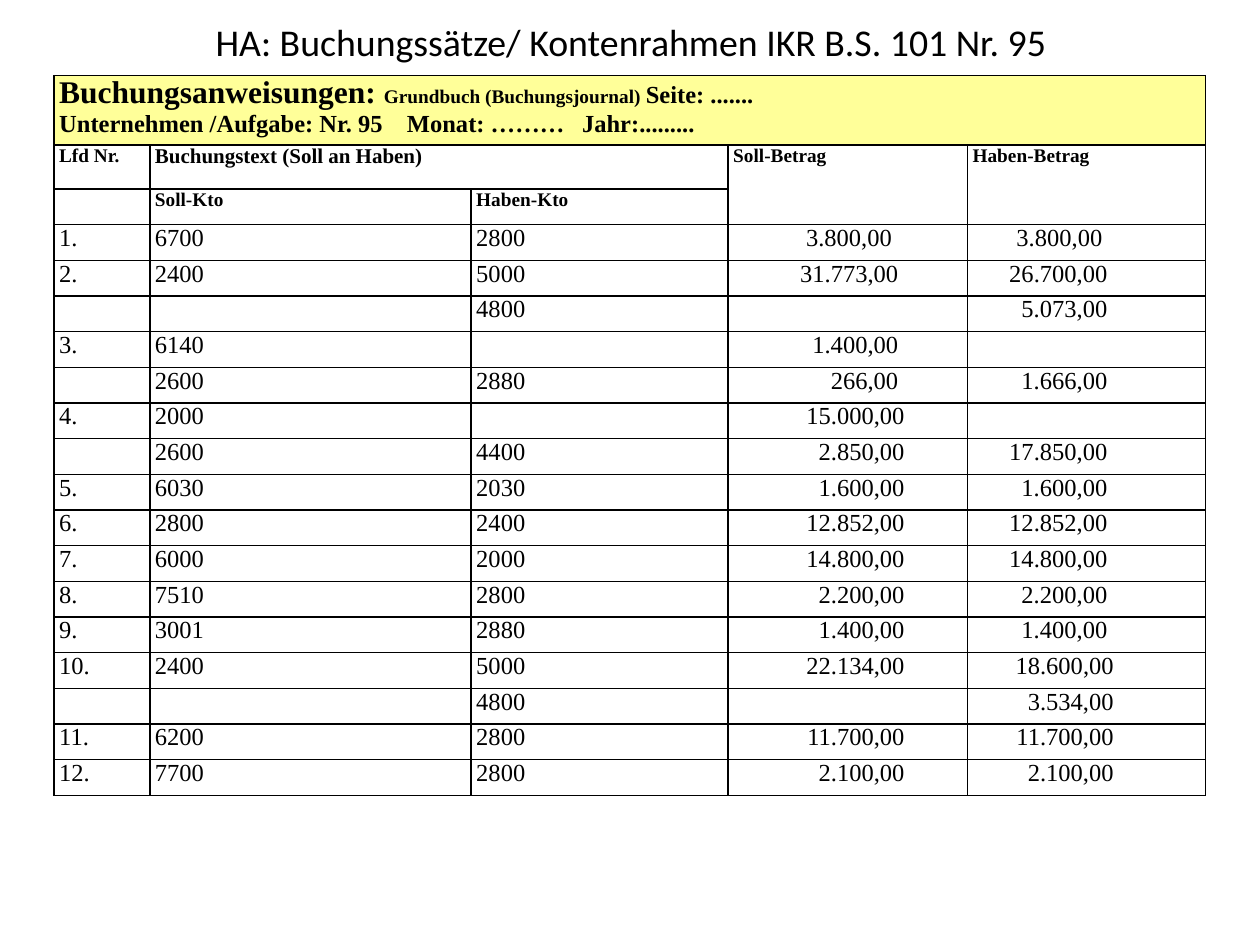
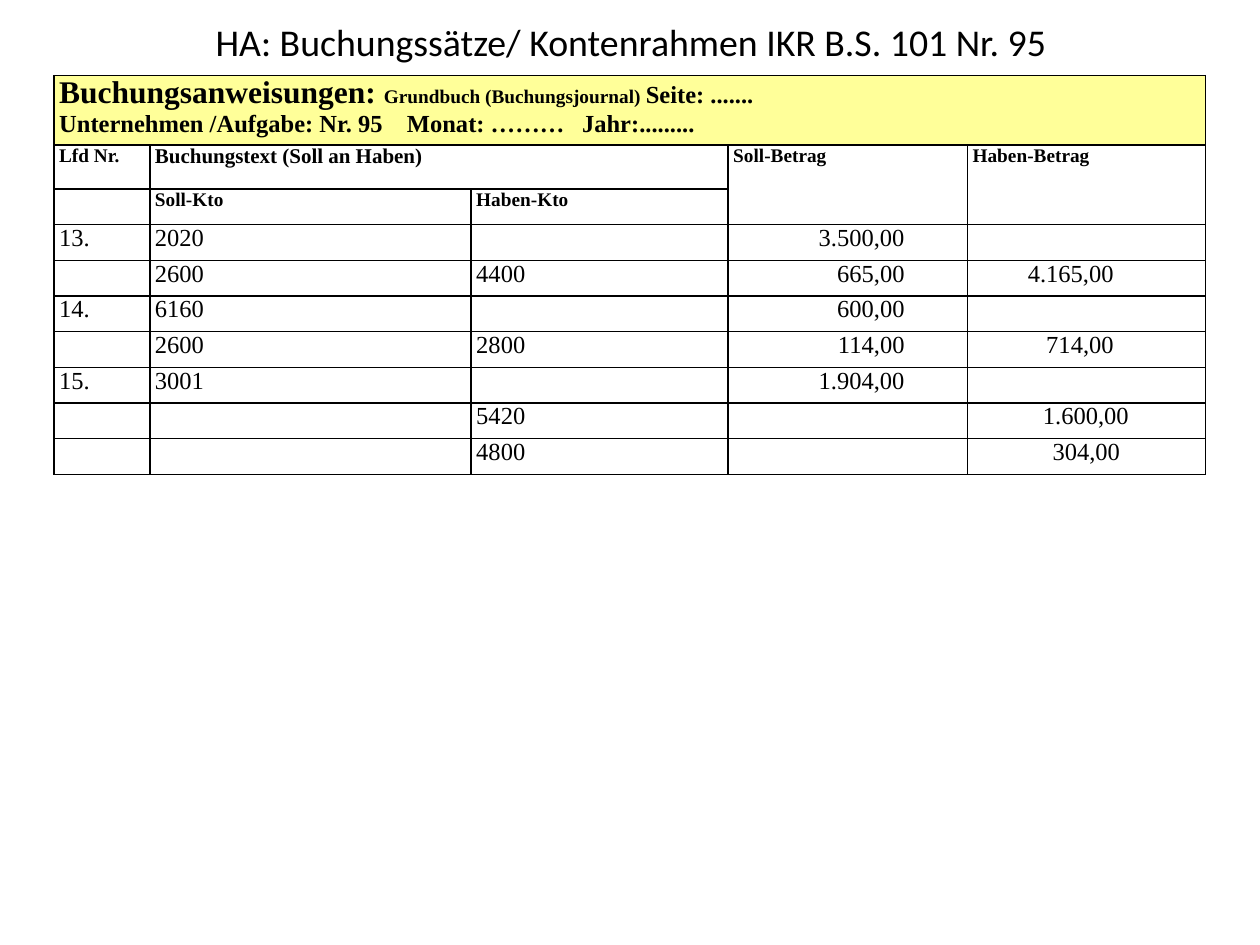
import pptx
import pptx.dml.color
import pptx.enum.text
import pptx.oxml.ns
import pptx.util
from lxml import etree

Inches, Pt = pptx.util.Inches, pptx.util.Pt
PP_ALIGN = pptx.enum.text.PP_ALIGN

BLACK, YELLOW = "000000", "FFFF99"
TITLE_FONT, TABLE_FONT = "Calibri", "Times New Roman"
TITLE = "HA: Buchungssätze/ Kontenrahmen IKR B.S. 101 Nr. 95"
TITLE_BOX = (0.51, 0.13, 9, 0.39)
JOURNAL_BOX = (0.43, 0.6)
COLUMN_WIDTHS = (0.76, 2.55, 2.04, 1.9, 1.89)
BANNER_HEIGHT, HEADING_HEIGHT, ROW_HEIGHT = Inches(0.55), Inches(0.35), Pt(20.4)
BANNER_TABS = (2.76, 4.15)
INSET = 0.04
AMOUNT_GAPS = {3: 0.5, 4: 0.78}
HEADINGS = [
    [("Lfd Nr.", 11), ("Buchungstext (Soll an Haben)", 12), ("", 11),
     ("Soll-Betrag", 11), ("Haben-Betrag", 11)],
    [("", 11), ("Soll-Kto", 11), ("Haben-Kto", 11), ("", 11), ("", 11)],
]
ENTRIES_1_TO_12 = [
    ("1.", "6700", "2800", ("3.800,00", 0.6), ("3.800,00", 0.82)),
    ("2.", "2400", "5000", ("31.773,00", 0.55), "26.700,00"),
    ("", "", "4800", "", "5.073,00"),
    ("3.", "6140", "", ("1.400,00", 0.55), ""),
    ("", "2600", "2880", ("266,00", 0.55), "1.666,00"),
    ("4.", "2000", "", "15.000,00", ""),
    ("", "2600", "4400", "2.850,00", "17.850,00"),
    ("5.", "6030", "2030", "1.600,00", "1.600,00"),
    ("6.", "2800", "2400", "12.852,00", "12.852,00"),
    ("7.", "6000", "2000", "14.800,00", "14.800,00"),
    ("8.", "7510", "2800", "2.200,00", "2.200,00"),
    ("9.", "3001", "2880", "1.400,00", "1.400,00"),
    ("10.", "2400", "5000", "22.134,00", ("18.600,00", 0.73)),
    ("", "", "4800", "", ("3.534,00", 0.73)),
    ("11.", "6200", "2800", "11.700,00", ("11.700,00", 0.73)),
    ("12.", "7700", "2800", "2.100,00", ("2.100,00", 0.73)),
]
ENTRIES_13_TO_15 = [
    ("13.", "2020", "", "3.500,00", ""),
    ("", "2600", "4400", "665,00", ("4.165,00", 0.73)),
    ("14.", "6160", "", "600,00", ""),
    ("", "2600", "2800", "114,00", ("714,00", 0.73)),
    ("15.", "3001", "", "1.904,00", ""),
    ("", "", "5420", "", ("1.600,00", 0.61)),
    ("", "", "4800", "", ("304,00", 0.68)),
]


def rgb(value):
    """Return the colour for a hex string."""
    return pptx.dml.color.RGBColor.from_string(value)


def sub(parent, tag, **attrs):
    """Append a drawing element with attributes."""
    return etree.SubElement(parent, pptx.oxml.ns.qn(tag), attrs)


def add_run(p, text, size, bold=False, font=TABLE_FONT):
    """Add one formatted run to a paragraph."""
    r = p.add_run()
    r.text = text
    r.font.name, r.font.size, r.font.bold = font, Pt(size), bold
    r.font.color.rgb = rgb(BLACK)


def set_borders(cell, open_side=None):
    """Draw the cell's grid lines, leaving one side open if named."""
    tcPr = cell._tc.get_or_add_tcPr()
    for i, side in enumerate("LRTB"):
        ln = etree.Element(pptx.oxml.ns.qn(f"a:ln{side}"), w=str(Pt(1)))
        if side == open_side:
            sub(ln, "a:noFill")
        else:
            sub(sub(ln, "a:solidFill"), "a:srgbClr", val=BLACK)
        tcPr.insert(i, ln)


def fill_cell(cell, text, size, bold=False, gap=None):
    """Write a cell; a gap sets the text right-aligned at that distance."""
    p = cell.text_frame.paragraphs[0]
    if text:
        add_run(p, text, size, bold)
    else:
        sub(p._p, "a:endParaRPr", sz=str(size * 100))
    if gap:
        p.alignment = PP_ALIGN.RIGHT
        cell.margin_right = Inches(gap)


def add_title(slide, box):
    """Place the slide title in its box."""
    sp = slide.shapes.title
    sp.left, sp.top, sp.width, sp.height = map(Inches, box)
    tf = sp.text_frame
    tf.word_wrap = True
    tf.auto_size = pptx.enum.text.MSO_AUTO_SIZE.NONE
    tf.vertical_anchor = pptx.enum.text.MSO_ANCHOR.MIDDLE
    p = tf.paragraphs[0]
    p.alignment = PP_ALIGN.CENTER
    add_run(p, TITLE, 21.6, font=TITLE_FONT)


def fill_banner(cell):
    """Write the two-line journal banner."""
    cell.fill.solid()
    cell.fill.fore_color.rgb = rgb(YELLOW)
    p = cell.text_frame.paragraphs[0]
    tabs = sub(p._p.get_or_add_pPr(), "a:tabLst")
    for pos in BANNER_TABS:
        sub(tabs, "a:tab", pos=str(Inches(pos)), algn="l")
    add_run(p, "Buchungsanweisungen: ", 18, True)
    add_run(p, "Grundbuch (Buchungsjournal) ", 11, True)
    add_run(p, "Seite: .......", 14, True)
    p.add_line_break()
    add_run(p, "Unternehmen /Aufgabe: Nr. 95\tMonat: ………\tJahr:.........", 14, True)


def add_journal(slide, box, entries):
    """Build the journal table at the given left and top."""
    left, top = map(Inches, box)
    heights = [BANNER_HEIGHT, HEADING_HEIGHT] + [ROW_HEIGHT] * (len(entries) + 1)
    table = slide.shapes.add_table(len(heights), len(COLUMN_WIDTHS), left, top,
                                   Inches(sum(COLUMN_WIDTHS)), sum(heights)).table
    table.first_row = table.horz_banding = False
    for column, width in zip(table.columns, COLUMN_WIDTHS):
        column.width = Inches(width)
    for i, (row, height) in enumerate(zip(table.rows, heights)):
        row.height = height
        for j, cell in enumerate(row.cells):
            cell.margin_left = cell.margin_right = Inches(INSET)
            cell.margin_top = cell.margin_bottom = 0
            cell.fill.background()
            set_borders(cell, {1: "B", 2: "T"}.get(i) if j in AMOUNT_GAPS else None)

    table.cell(0, 0).merge(table.cell(0, 4))
    table.cell(1, 1).merge(table.cell(1, 2))
    fill_banner(table.cell(0, 0))
    for i, headings in enumerate(HEADINGS, 1):
        for j, (text, size) in enumerate(headings):
            fill_cell(table.cell(i, j), text, size, True)
    for i, entry in enumerate(entries, 3):
        for j, value in enumerate(entry):
            text, gap = value if isinstance(value, tuple) else (value, AMOUNT_GAPS.get(j))
            fill_cell(table.cell(i, j), text, 14, gap=gap)


def add_journal_slide(prs, entries):
    """Add one slide with the title and a journal of entries."""
    slide = prs.slides.add_slide(prs.slide_layouts[5])
    add_title(slide, TITLE_BOX)
    add_journal(slide, JOURNAL_BOX, entries)


def main():
    """Build and save the presentation."""
    prs = pptx.Presentation()
    prs.slide_width, prs.slide_height = Inches(10), Inches(7.5)
    for entries in (ENTRIES_1_TO_12, ENTRIES_13_TO_15):
        add_journal_slide(prs, entries)
    prs.save("out.pptx")


if __name__ == "__main__":
    main()
